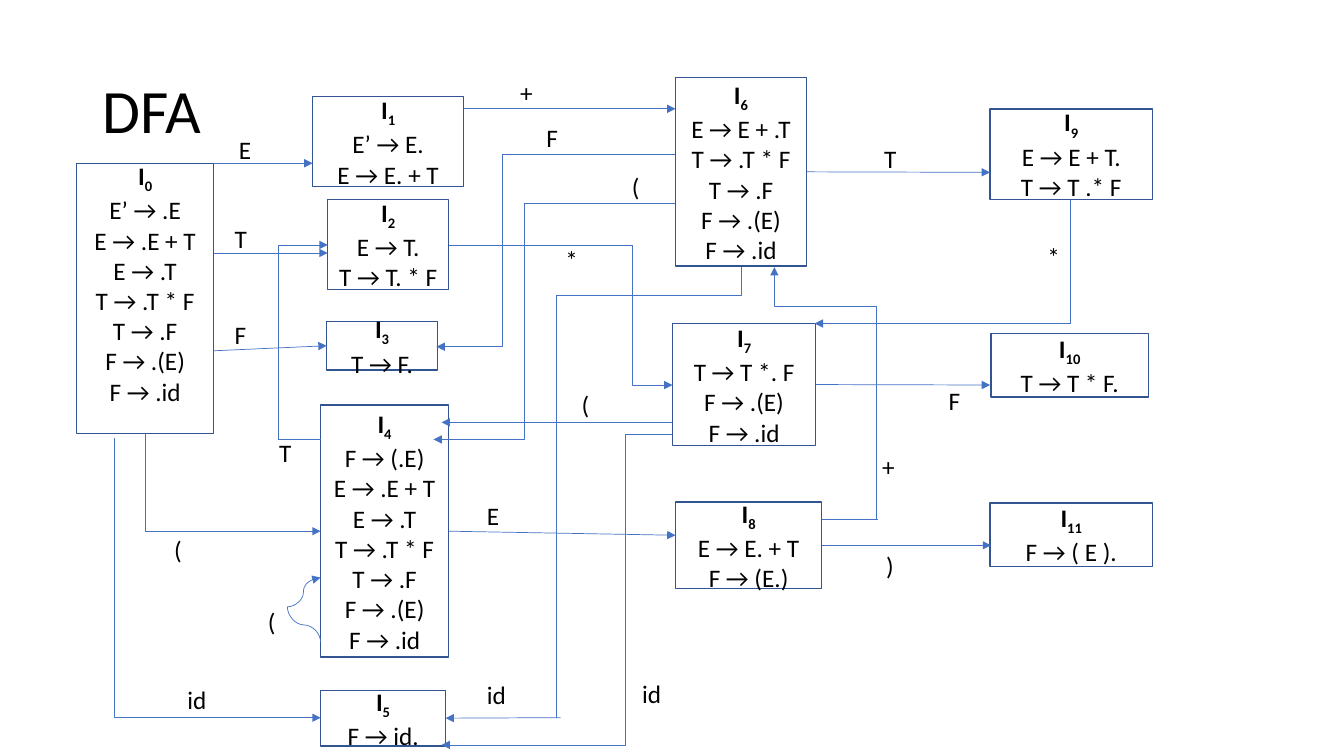
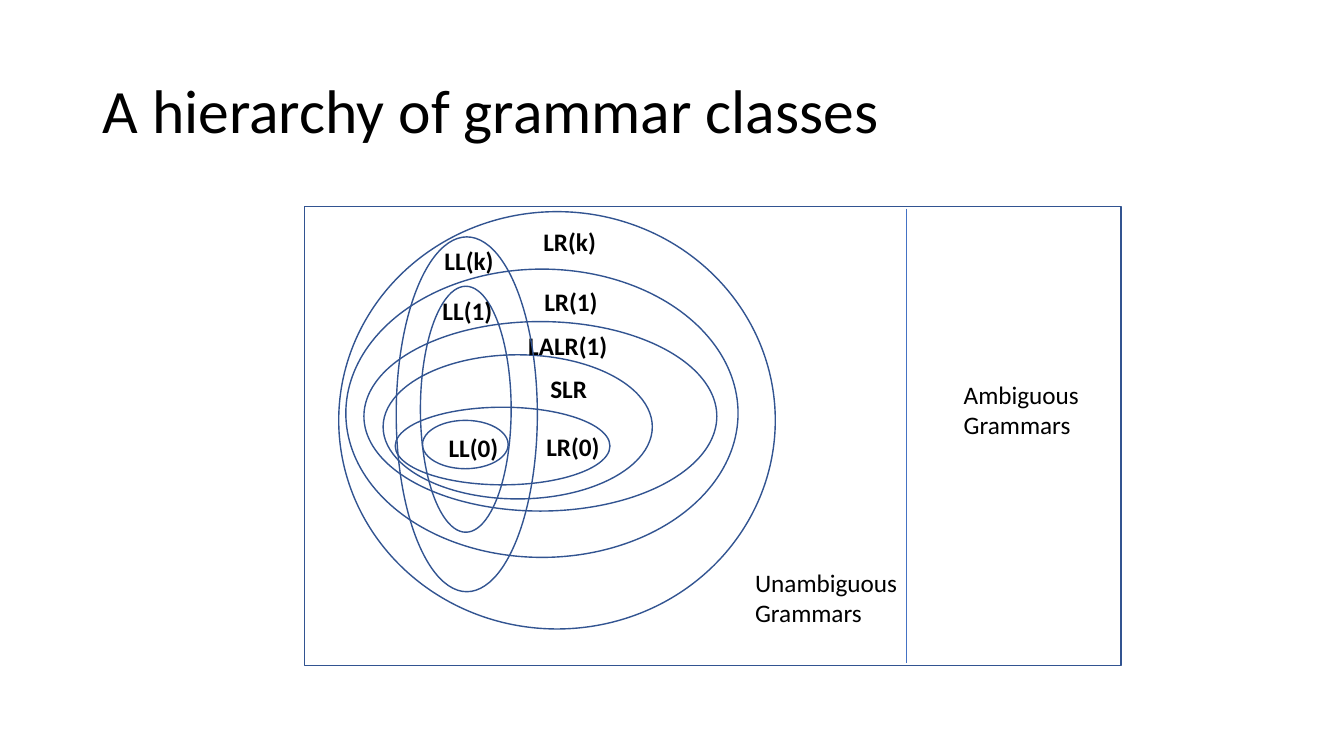
"""Builds two slides on LR parsing: an SLR automaton and a hierarchy of grammar classes."""
from dataclasses import dataclass

from pptx import Presentation, util as u
from pptx.dml.color import RGBColor
from pptx.enum import shapes, text
from pptx.oxml import ns
from lxml import etree


@dataclass(frozen=True)
class Theme:
    """Colours, font and type sizes shared by both slides."""
    font: str = "Calibri"
    ink: RGBColor = RGBColor(0, 0, 0)
    outline: RGBColor = RGBColor(0x32, 0x54, 0x91)
    wire: RGBColor = RGBColor(0x44, 0x72, 0xC4)
    title: int = 44
    body: int = 18
    outline_width: float = 1
    wire_width: float = 0.5


@dataclass(frozen=True)
class Box:
    """A rectangle in px."""
    left: int
    top: int
    width: int
    height: int

    def inner(self, left, top, width, height):
        """Return a box given relative to this one."""
        return Box(self.left + left, self.top + top, width, height)

    def emu(self):
        """Return the four sides as EMU."""
        return [px(side) for side in (self.left, self.top, self.width, self.height)]


THEME = Theme()
EMU_PER_PX = 9144
PAGE = Box(0, 0, 1333, 750)
TITLE = Box(92, 40, 1150, 145)
LABEL_HEIGHT = 40
LINE_HEIGHT = 30
JOIN_TOLERANCE = 1

STATES = {
    0: ((76, 162, 136, 268), ["E’ → .E", "E → .E + T", "E → .T", "T → .T * F",
                              "T → .F", "F → .(E)", "F → .id"]),
    4: ((318, 402, 127, 250), ["F → (.E)", "E → .E + T", "E → .T", "T → .T * F",
                               "T → .F", "F → .(E)", "F → .id"]),
    1: ((310, 96, 150, 89), ["E’ → E.", "E → E. + T"]),
    2: ((325, 198, 120, 89), ["E → T.", "T → T. * F"]),
    3: ((324, 319, 110, 48), ["T → F."]),
    5: ((318, 685, 124, 55), ["F → id."]),
    6: ((670, 77, 130, 187), ["E → E + .T", "T → .T * F", "T → .F", "F → .(E)", "F → .id"]),
    7: ((667, 321, 142, 121), ["T → T *. F", "F → .(E)", "F → .id"]),
    8: ((670, 498, 145, 86), ["E → E. + T", "F → (E.)"]),
    9: ((982, 108, 161, 90), ["E → E + T.", "T → T .* F"]),
    10: ((983, 331, 156, 63), ["T → T * F."]),
    11: ((982, 499, 161, 63), ["F → ( E )."]),
}

ARROWS = [
    [(212, 162), (310, 162)],
    [(212, 251), (325, 251)],
    [(212, 348), (324, 343)],
    [(144, 430), (144, 527), (318, 527)],
    [(113, 434), (113, 712), (318, 712)],
    [(800, 171), (982, 171)],
    [(809, 382), (982, 382)],
    [(815, 541), (983, 541)],
    [(445, 243), (627, 243), (627, 382), (667, 382)],
    [(445, 527), (670, 531)],
    [(460, 108), (670, 108)],
    [(670, 153), (498, 153), (498, 344), (433, 344)],
    [(670, 202), (520, 202), (520, 436), (430, 436)],
    [(556, 712), (442, 712)],
    [(869, 515), (869, 304), (768, 304), (768, 265)],
    [(1062, 198), (1062, 321), (808, 321)],
    [(667, 419), (438, 419)],
    [(667, 431), (620, 431), (620, 739), (438, 739)],
    [(276, 436), (276, 243), (325, 243)],
]

PLAIN_WIRES = [
    [(552, 712), (552, 293), (735, 293), (735, 265)],
    [(815, 515), (871, 515)],
    [(276, 436), (318, 436)],
]

LOOP_TAIL = [(318, 637), (318, 620), (285, 620), (285, 602)]
LOOP_HEAD = [(285, 602), (301, 602), (301, 573), (318, 573)]

SYMBOLS = [
    ("E", 227, 128), ("T", 223, 217), ("F", 223, 312), ("T", 267, 429), ("(", 256, 597),
    ("id", 176, 674), ("id", 627, 668), ("id", 473, 669), (")", 869, 541), ("F", 931, 377),
    ("+", 865, 443), ("*", 1029, 234), ("T", 867, 137), ("+", 506, 72), ("(", 617, 165),
    ("F", 532, 116), ("*", 551, 237), ("(", 567, 381), ("(", 163, 525), ("E", 473, 491),
]

CLASSES = [
    ("LL(0)", (117, 212, 85, 48), (133, 219)),
    ("LR(0)", (90, 199, 213, 77), (230, 218)),
    ("SLR", (78, 147, 267, 143), (234, 160)),
    ("LALR(1)", (59, 114, 350, 188), (212, 118)),
    ("LR(1)", (41, 62, 389, 286), (228, 74)),
    ("LR(k)", (34, 5, 433, 414), (227, 15)),
    ("LL(1)", (115, 79, 90, 244), (127, 83)),
    ("LL(k)", (91, 30, 140, 352), (129, 33)),
]


def px(count):
    """Turn px into EMU."""
    return u.Emu(round(count * EMU_PER_PX))


def write(frame, lines, size=THEME.body, bold=False, align=text.PP_ALIGN.LEFT):
    """Fill a text frame with one paragraph per line and return the paragraphs."""
    for index, line in enumerate(lines):
        para = frame.paragraphs[0] if index == 0 else frame.add_paragraph()
        para.alignment = align
        add_span(para, line, size, bold)
    return frame.paragraphs


def add_span(para, words, size=THEME.body, bold=False):
    """Add one run in the theme font."""
    span = para.add_run()
    span.text = words
    span.font.name = THEME.font
    span.font.size = u.Pt(size)
    span.font.bold = bold
    span.font.color.rgb = THEME.ink
    return span


def add_text(page, box, lines, size=THEME.body, bold=False, anchor=text.MSO_ANCHOR.TOP):
    """Place a wrapping text box and return its paragraphs."""
    frame = page.shapes.add_textbox(*box.emu()).text_frame
    frame.word_wrap = True
    frame.vertical_anchor = anchor
    return write(frame, lines, size, bold)


def add_outline(page, kind, box):
    """Place an unfilled outlined shape."""
    shape = page.shapes.add_shape(kind, *box.emu())
    shape.shadow.inherit = False
    shape.fill.background()
    shape.line.color.rgb = THEME.outline
    shape.line.width = u.Pt(THEME.outline_width)
    return shape


def add_state(page, box, number, items):
    """Place one item set under its subscripted name."""
    state = add_outline(page, shapes.MSO_SHAPE.RECTANGLE, box)
    frame = state.text_frame
    frame.word_wrap = True
    frame.vertical_anchor = text.MSO_ANCHOR.MIDDLE
    if number == 0:
        frame.margin_bottom = px(5 + LINE_HEIGHT)
    name = write(frame, ["I"], bold=True, align=text.PP_ALIGN.CENTER)[0]
    subscript = add_span(name, str(number), bold=True)
    subscript._r.get_or_add_rPr().set("baseline", "-25000")
    for item in items:
        para = frame.add_paragraph()
        para.alignment = text.PP_ALIGN.CENTER
        add_span(para, item)
    return state


def style_wire(wire, arrow):
    """Give a connector its line, arrowhead and empty effect list."""
    wire.line.color.rgb = THEME.wire
    wire.line.width = u.Pt(THEME.wire_width)
    if arrow:
        etree.SubElement(wire.line._get_or_add_ln(), ns.qn("a:tailEnd"), type="triangle")
    etree.SubElement(wire._element.spPr, ns.qn("a:effectLst"))


def join(wire, start, end, states):
    """Glue the ends of a straight wire that meet the middle of a side."""
    for state in states:
        middle_x, middle_y = state.left + state.width // 2, state.top + state.height // 2
        sides = [(middle_x, state.top), (state.left, middle_y),
                 (middle_x, state.top + state.height), (state.left + state.width, middle_y)]
        for site, side in enumerate(sides):
            for point, connect in ((start, wire.begin_connect), (end, wire.end_connect)):
                if all(abs(px(a) - b) <= px(JOIN_TOLERANCE) for a, b in zip(point, side)):
                    connect(state, site)


def add_wire(page, box, route, arrow=False, kind=shapes.MSO_CONNECTOR.ELBOW, states=()):
    """Draw a connector along a route of two to four points relative to the box."""
    points = [(box.left + x, box.top + y) for x, y in route]
    (x1, y1), (x2, y2) = start, end = points[0], points[-1]
    if len(points) == 2:
        wire = page.shapes.add_connector(shapes.MSO_CONNECTOR.STRAIGHT, *map(px, start + end))
        join(wire, start, end, states)
        style_wire(wire, arrow)
        return
    upright = points[1][0] == x1
    ends = start + end
    if upright:
        centre_x, centre_y = (x1 + x2) / 2, (y1 + y2) / 2
        half_x, half_y = abs(y2 - y1) / 2, abs(x2 - x1) / 2
        if (x2 > x1) == (y2 > y1):
            half_y = -half_y
        ends = (centre_x - half_x, centre_y - half_y, centre_x + half_x, centre_y + half_y)
    wire = page.shapes.add_connector(kind, *map(px, ends))
    properties = wire._element.spPr
    if upright:
        turn = 90 if y2 > y1 else 270
        properties.find(ns.qn("a:xfrm")).set("rot", str(turn * 60000))
    geometry = properties.find(ns.qn("a:prstGeom"))
    if len(points) == 3:
        geometry.set("prst", "bentConnector2")
    else:
        axis = int(upright)
        bend = (points[1][axis] - start[axis]) / (end[axis] - start[axis])
        guides = geometry.find(ns.qn("a:avLst"))
        if guides is None:
            guides = etree.SubElement(geometry, ns.qn("a:avLst"))
        etree.SubElement(guides, ns.qn("a:gd"), name="adj1", fmla=f"val {round(bend * 100000)}")
    style_wire(wire, arrow)


def add_page(deck, title):
    """Add a blank page with its title."""
    page = deck.slides.add_slide(deck.slide_layouts[6])
    heading = add_text(page, TITLE, [title], THEME.title, anchor=text.MSO_ANCHOR.MIDDLE)
    heading[0].line_spacing = 0.9
    return page


def draw_automaton(page, box):
    """Draw the states, transitions and symbols of the automaton."""
    states = [add_state(page, box.inner(*place), number, items)
              for number, (place, items) in STATES.items()]
    for route in ARROWS:
        add_wire(page, box, route, arrow=True, states=states)
    for route in PLAIN_WIRES:
        add_wire(page, box, route)
    add_wire(page, box, LOOP_TAIL, kind=shapes.MSO_CONNECTOR.CURVE)
    add_wire(page, box, LOOP_HEAD, arrow=True, kind=shapes.MSO_CONNECTOR.CURVE)
    for symbol, left, top in SYMBOLS:
        add_text(page, box.inner(left, top, 54, LABEL_HEIGHT), [symbol])


def draw_hierarchy(page, box):
    """Draw the nested grammar classes and the ambiguity divide."""
    add_outline(page, shapes.MSO_SHAPE.RECTANGLE, box)
    add_wire(page, box, [(597, 2), (597, 453)])
    for name, oval, label in CLASSES:
        add_outline(page, shapes.MSO_SHAPE.OVAL, box.inner(*oval))
        add_text(page, box.inner(*label, 118, LABEL_HEIGHT), [name], bold=True)
    for kind, left, top in (("Ambiguous", 644, 166), ("Unambiguous", 437, 353)):
        add_text(page, box.inner(left, top, 271, 71), [kind, "Grammars"])


def main():
    """Build and save the deck."""
    deck = Presentation()
    deck.slide_width, deck.slide_height = px(PAGE.width), px(PAGE.height)
    draw_automaton(add_page(deck, "DFA"), PAGE)
    draw_hierarchy(add_page(deck, "A hierarchy of grammar classes"), Box(302, 205, 810, 455))
    deck.save("out.pptx")


if __name__ == "__main__":
    main()
